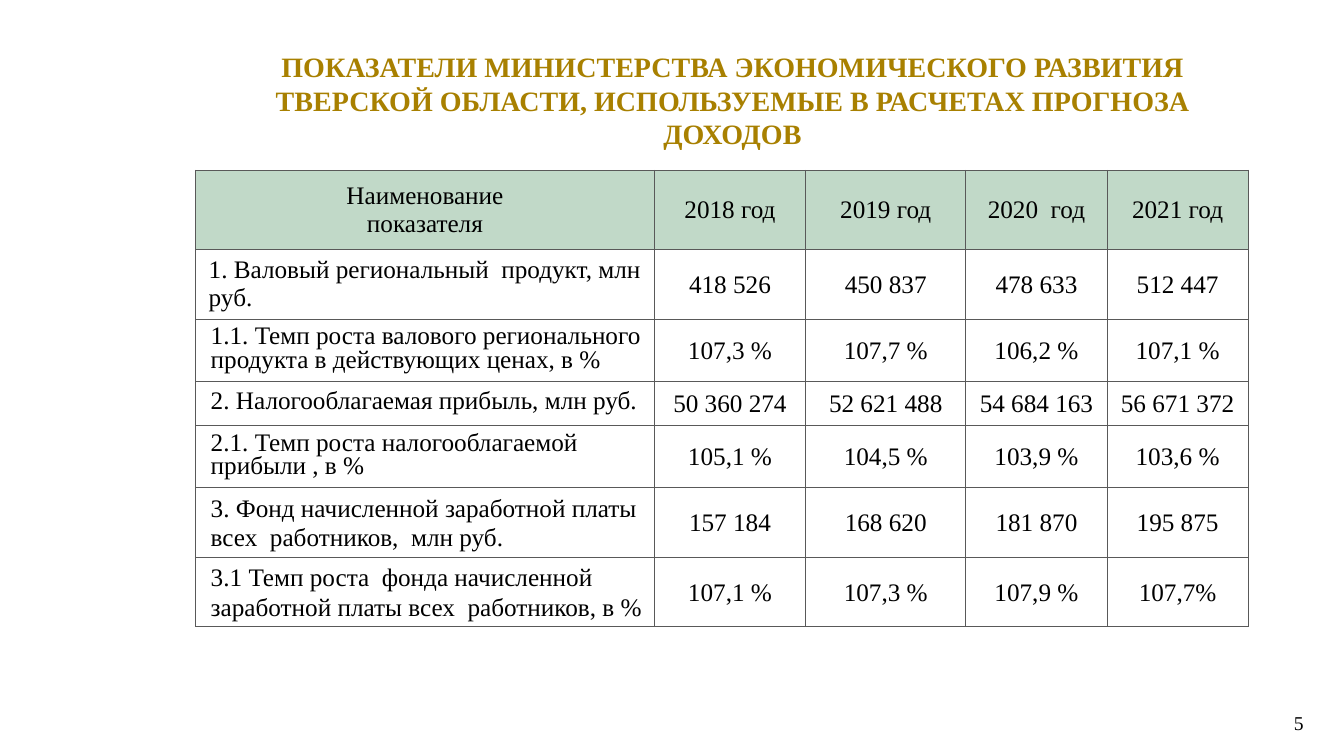
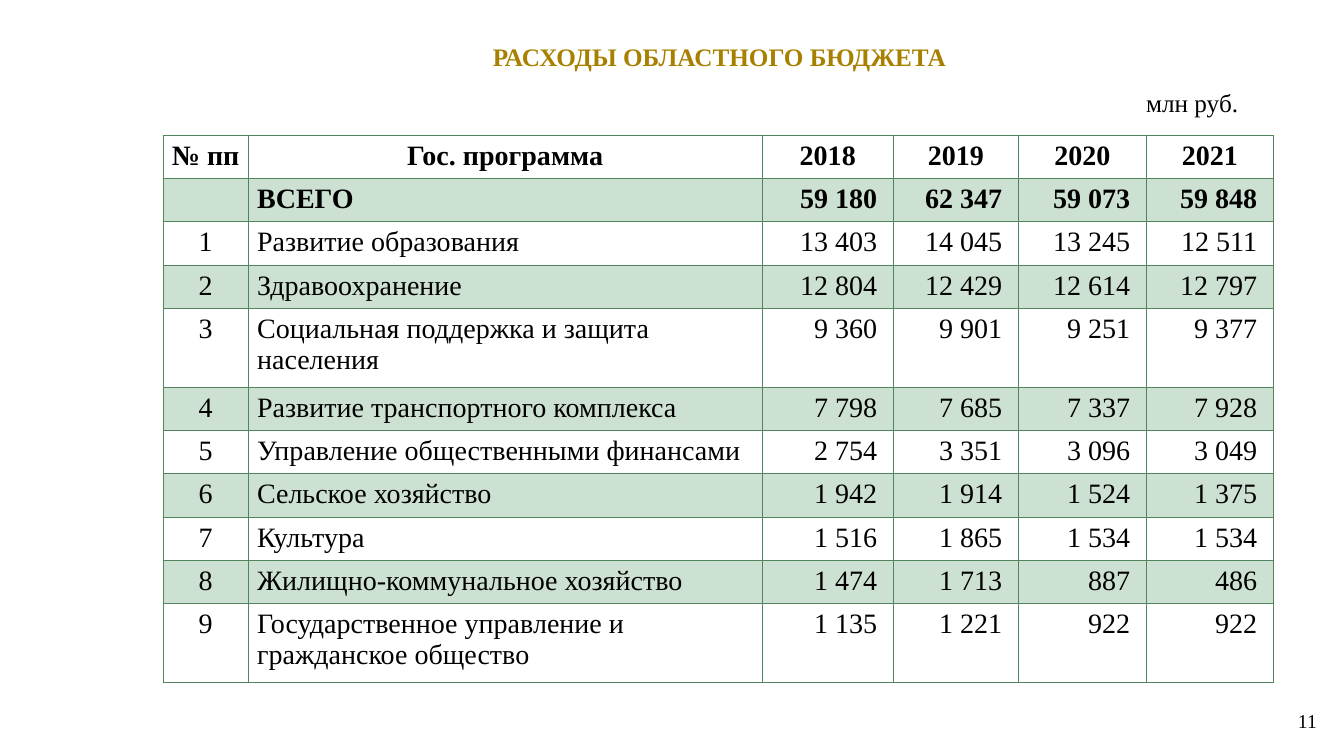
"""Build two slides with budget forecast tables."""
from lxml import etree
from pptx import Presentation
from pptx.dml.color import RGBColor
from pptx.enum.text import MSO_ANCHOR, MSO_AUTO_SIZE, PP_ALIGN
from pptx.oxml.ns import qn
from pptx.util import Inches, Pt

LEFT, CENTER, RIGHT = PP_ALIGN.LEFT, PP_ALIGN.CENTER, PP_ALIGN.RIGHT
TOP, MIDDLE = MSO_ANCHOR.TOP, MSO_ANCHOR.MIDDLE
NO_FIT = MSO_AUTO_SIZE.NONE

FONT = "Times New Roman"
GOLD = RGBColor(0xA8, 0x80, 0x00)
BLACK = RGBColor(0x00, 0x00, 0x00)
HEADER_GREEN = RGBColor(0xC1, 0xD9, 0xC8)
BAND_GREEN = RGBColor(0xCD, 0xE1, 0xD2)
GRAY_LINE = RGBColor(0x59, 0x59, 0x59)
GREEN_LINE = RGBColor(0x52, 0x84, 0x60)

INDICATORS = [
    ["Наименование\nпоказателя", "2018 год", "2019 год", "2020  год", "2021 год"],
    ["1. Валовый региональный  продукт, млн руб.",
     "418 526", "450 837", "478 633", "512 447"],
    ["1.1. Темп роста валового регионального продукта в действующих ценах, в %",
     "107,3 %", "107,7 %", "106,2 %", "107,1 %"],
    ["2. Налогооблагаемая прибыль, млн руб.",
     "50 360 274", "52 621 488", "54 684 163", "56 671 372"],
    ["2.1. Темп роста налогооблагаемой прибыли , в %",
     "105,1 %", "104,5 %", "103,9 %", "103,6 %"],
    ["3. Фонд начисленной заработной платы всех  работников,  млн руб.",
     "157 184", "168 620", "181 870", "195 875"],
    ["3.1 Темп роста  фонда начисленной заработной платы всех  работников, в %",
     "107,1 %", "107,3 %", "107,9 %", "107,7%"],
]
INDICATOR_SPACING = [None, None, Pt(17), Pt(17), Pt(17), Pt(21), Pt(21)]

EXPENSES = [
    ["№ пп", "Гос. программа", "2018", "2019", "2020", "2021"],
    ["", "ВСЕГО", "59 180", "62 347", "59 073", "59 848"],
    ["1", "Развитие образования", "13 403", "14 045", "13 245", "12 511"],
    ["2", "Здравоохранение", "12 804", "12 429", "12 614", "12 797"],
    ["3", "Социальная поддержка и защита населения", "9 360", "9 901", "9 251", "9 377"],
    ["4", "Развитие транспортного комплекса", "7 798", "7 685", "7 337", "7 928"],
    ["5", "Управление общественными финансами", "2 754", "3 351", "3 096", "3 049"],
    ["6", "Сельское хозяйство", "1 942", "1 914", "1 524", "1 375"],
    ["7", "Культура", "1 516", "1 865", "1 534", "1 534"],
    ["8", "Жилищно-коммунальное хозяйство", "1 474", "1 713", "887", "486"],
    ["9", "Государственное управление и гражданское общество",
     "1 135", "1 221", "922", "922"],
]

SLIDES = [
    dict(
        title="ПОКАЗАТЕЛИ МИНИСТЕРСТВА ЭКОНОМИЧЕСКОГО РАЗВИТИЯ ТВЕРСКОЙ ОБЛАСТИ, "
              "ИСПОЛЬЗУЕМЫЕ В РАСЧЕТАХ ПРОГНОЗА ДОХОДОВ",
        title_box=(2.09, 0.44, 10.35, 1.11), title_size=20,
        number="5", number_box=(10.78, 6.97, 2.25, 0.4),
        rows=INDICATORS, table_at=(1.94, 1.69),
        widths=[4.55, 1.5, 1.59, 1.4, 1.4],
        heights=[0.78, 0.7, 0.61, 0.44, 0.62, 0.69, 0.69],
        line=GRAY_LINE, line_width=0.75,
    ),
    dict(
        title="РАСХОДЫ ОБЛАСТНОГО БЮДЖЕТА",
        title_box=(3, 0.36, 8.27, 0.4), title_size=18,
        number="11", number_box=(10.91, 6.95, 2.25, 0.4),
        rows=EXPENSES, table_at=(1.62, 1.34),
        widths=[0.84, 5.1, 1.3, 1.24, 1.27, 1.26],
        heights=[0.78 if r in (4, 10) else 0.43 for r in range(len(EXPENSES))],
        line=GREEN_LINE, line_width=0.5,
    ),
]


def write_text(sp, box, text, size, color, align, anchor=TOP, bold=False):
    """Place a text shape and format its only paragraph."""
    sp.left, sp.top, sp.width, sp.height = [Inches(v) for v in box]
    tf = sp.text_frame
    tf.text = text
    tf.word_wrap = True
    tf.auto_size = NO_FIT
    tf.vertical_anchor = anchor
    p = tf.paragraphs[0]
    p.alignment = align
    p.font.name, p.font.size, p.font.bold = FONT, Pt(size), bold
    p.font.color.rgb = color


def style_cell(cell, text, size, bold, align, margins, anchor, fill, line, line_width):
    """Write one table cell with its borders and fill."""
    cell.text = text
    cell.vertical_anchor = anchor
    (cell.margin_left, cell.margin_top,
     cell.margin_right, cell.margin_bottom) = [Inches(m) for m in margins]
    for p in cell.text_frame.paragraphs:
        p.alignment = align
        p.font.name, p.font.size, p.font.bold = FONT, Pt(size), bold
        p.font.color.rgb = BLACK
    tcPr = cell._tc.get_or_add_tcPr()
    for side in ("a:lnL", "a:lnR", "a:lnT", "a:lnB"):
        ln = etree.SubElement(tcPr, qn(side), w=str(Pt(line_width)))
        solid = etree.SubElement(ln, qn("a:solidFill"))
        etree.SubElement(solid, qn("a:srgbClr"), val=str(line))
    if fill is None:
        cell.fill.background()
    else:
        cell.fill.solid()
        cell.fill.fore_color.rgb = fill


prs = Presentation()
prs.slide_width, prs.slide_height = Inches(13.33), Inches(7.5)

tables = []
for item in SLIDES:
    s = prs.slides.add_slide(prs.slide_layouts[5])
    write_text(s.shapes.title, item["title_box"], item["title"],
               item["title_size"], GOLD, CENTER, bold=True)
    number = s.shapes.add_textbox(0, 0, 0, 0)
    write_text(number, item["number_box"], item["number"], 14, BLACK, RIGHT, MIDDLE)

    widths, heights = item["widths"], item["heights"]
    left, top = item["table_at"]
    table = s.shapes.add_table(len(heights), len(widths), Inches(left), Inches(top),
                               Inches(sum(widths)), Inches(sum(heights))).table
    table.first_row = table.horz_banding = False
    for column, width in zip(table.columns, widths):
        column.width = Inches(width)
    for row, height in zip(table.rows, heights):
        row.height = Inches(height)
    tables.append(table)

indicators, expenses = tables

for r, row in enumerate(INDICATORS):
    for c, text in enumerate(row):
        cell = indicators.cell(r, c)
        is_name = r > 0 and c == 0
        indent = 0.13 if r == 1 else 0.15
        margins = (indent, 0, 0.01, 0) if is_name else (0.01, 0.01, 0.01, 0)
        style_cell(cell, text, 18, False, LEFT if is_name else CENTER, margins, MIDDLE,
                   HEADER_GREEN if r == 0 else None, GRAY_LINE, 0.75)
        if is_name and INDICATOR_SPACING[r]:
            cell.text_frame.paragraphs[0].line_spacing = INDICATOR_SPACING[r]

for r, row in enumerate(EXPENSES):
    for c, text in enumerate(row):
        align, pad_left, pad_right = CENTER, 0.01, 0.01
        if r > 0 and c == 1:
            align, pad_left = LEFT, 0.09
        elif r > 0 and c > 1:
            align, pad_right = RIGHT, 0.16
        style_cell(expenses.cell(r, c), text, 20, r < 2, align,
                   (pad_left, 0.05, pad_right, 0.05), TOP,
                   BAND_GREEN if r % 2 else None, GREEN_LINE, 0.5)

unit = prs.slides[1].shapes.add_textbox(0, 0, 0, 0)
write_text(unit, (11.27, 0.82, 1.17, 0.4), "млн руб.", 18, BLACK, LEFT)

prs.save("out.pptx")
